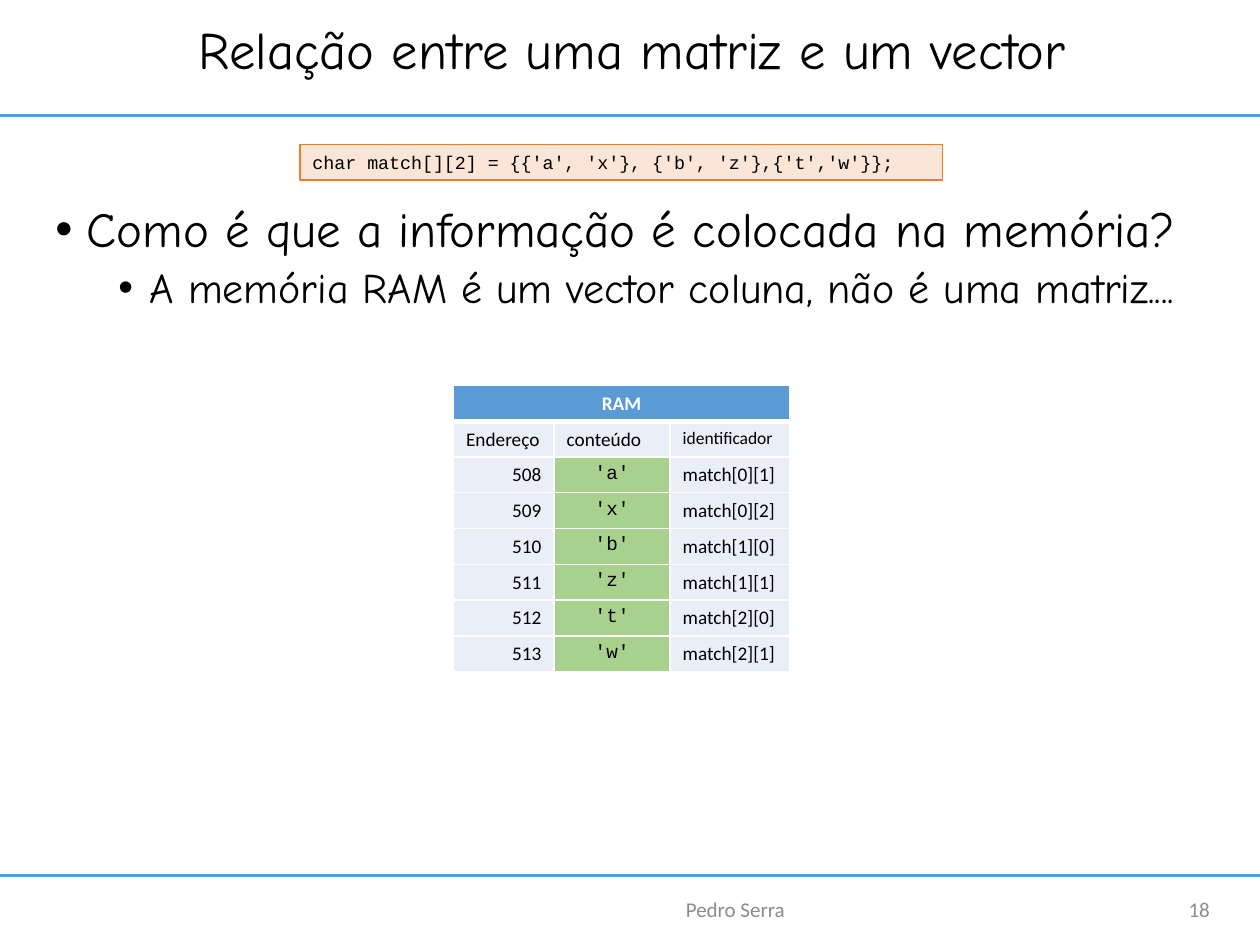
import lxml.etree
import pptx
import pptx.dml.color
import pptx.enum.shapes
import pptx.enum.text
import pptx.oxml
import pptx.oxml.ns
import pptx.util

Cm = pptx.util.Cm
Pt = pptx.util.Pt
RGBColor = pptx.dml.color.RGBColor
ALIGN = pptx.enum.text.PP_ALIGN
MIDDLE = pptx.enum.text.MSO_ANCHOR.MIDDLE
qn = pptx.oxml.ns.qn

BLACK = RGBColor(0x00, 0x00, 0x00)
WHITE = RGBColor(0xFF, 0xFF, 0xFF)
GREY = RGBColor(0x8C, 0x8C, 0x8C)
BLUE = RGBColor(0x5B, 0x9B, 0xD5)
PALE_BLUE = RGBColor(0xEA, 0xEF, 0xF7)
GREEN = RGBColor(0xA9, 0xD1, 0x8E)
ORANGE = RGBColor(0xED, 0x7D, 0x31)
PALE_ORANGE = RGBColor(0xFB, 0xE5, 0xD6)


def write(para, text, size, font, color, align=ALIGN.LEFT, bold=False):
    para.text = text
    para.alignment = align
    for span in para.runs:
        span.font.size = Pt(size)
        span.font.name = font
        span.font.color.rgb = color
        span.font.bold = bold


def place(shape, left, top, width, height):
    """Position a shape, in centimetres."""
    shape.left, shape.top = Cm(left), Cm(top)
    shape.width, shape.height = Cm(width), Cm(height)


deck = pptx.Presentation()
deck.slide_width, deck.slide_height = Cm(25.4), Cm(19.05)
page = deck.slides.add_slide(deck.slide_layouts[1])

# Rules above and below the content
for y in (2.33, 17.65):
    rule = page.shapes.add_connector(
        pptx.enum.shapes.MSO_CONNECTOR.STRAIGHT, 0, Cm(y), deck.slide_width, Cm(y))
    rule.line.color.rgb = BLUE
    rule.line.width = Pt(1.25)
    lxml.etree.SubElement(rule._element.spPr, qn("a:effectLst"))

# Title
title = page.shapes.title
place(title, 0.86, 0, 23.77, 2.13)
title.text_frame.auto_size = pptx.enum.text.MSO_AUTO_SIZE.NONE
title.text_frame.vertical_anchor = MIDDLE
heading = title.text_frame.paragraphs[0]
write(heading, "Relação entre uma matriz e um vector", 30, "Comic Neue", BLACK, ALIGN.CENTER)
heading.line_spacing = 0.9

# Bulleted list
body = page.placeholders[1]
place(body, 0.86, 4.01, 24.28, 3.4)
body.text_frame.auto_size = pptx.enum.text.MSO_AUTO_SIZE.NONE
bullets = [
    ("Como é que a informação é colocada na memória?", 28, 0.25, 0),
    ("A memória RAM é um vector coluna, não é uma matriz....", 24, 0.75, 5),
]
body.text_frame.text = "\n".join(bullet[0] for bullet in bullets)
for level, (text, size, indent, space) in enumerate(bullets):
    para = body.text_frame.paragraphs[level]
    para.level = level
    properties = para._p.get_or_add_pPr()
    properties.set("marL", str(pptx.util.Inches(indent)))
    properties.set("indent", str(pptx.util.Inches(-0.25)))
    lxml.etree.SubElement(properties, qn("a:buFont"), typeface="Arial")
    lxml.etree.SubElement(properties, qn("a:buChar"), char="•")
    para.line_spacing = 0.9
    para.space_before = Pt(space)
    write(para, text, size, "Comic Neue", BLACK)

# Footer and page number
for text, left, width, align in (
        ("18", 22.4, 2.24, ALIGN.RIGHT), ("Pedro Serra", 7.47, 14.71, ALIGN.CENTER)):
    box = page.shapes.add_textbox(Cm(left), Cm(17.98), Cm(width), Cm(0.69))
    box.text_frame.word_wrap = True
    box.text_frame.vertical_anchor = MIDDLE
    write(box.text_frame.paragraphs[0], text, 12, "Calibri", GREY, align)

# Memory table
contents = ["'a'", "'x'", "'b'", "'z'", "'t'", "'w'"]
names = ["match[0][1]", "match[0][2]", "match[1][0]",
         "match[1][1]", "match[2][0]", "match[2][1]"]
rows = [("RAM", "", ""), ("Endereço", "conteúdo", "identificador")]
rows += [(str(508 + i), *pair) for i, pair in enumerate(zip(contents, names))]
widths = [2.03, 2.34, 2.41]
memory = page.shapes.add_table(
    len(rows), len(widths), Cm(9.14), Cm(7.77), Cm(sum(widths)), Cm(0.72 * len(rows))).table
for column, width in zip(memory.columns, widths):
    column.width = Cm(width)
memory.cell(0, 0).merge(memory.cell(0, 2))

for r, row in enumerate(rows):
    for c, text in enumerate(row):
        cell = memory.cell(r, c)
        size, font, color, fill, align = 11, "Calibri", BLACK, PALE_BLUE, ALIGN.LEFT
        if r == 0:
            color, fill, align = WHITE, BLUE, ALIGN.CENTER
        elif r == 1 and c == 2:
            size = 10
        elif r > 1 and c == 0:
            align = ALIGN.RIGHT
        elif r > 1 and c == 1:
            font, fill, align = "Courier New", GREEN, ALIGN.CENTER
        if not cell.is_spanned:
            write(cell.text_frame.paragraphs[0], text, size, font, color, align, r == 0)
        properties = cell._tc.get_or_add_tcPr()
        for side in ("L", "R", "T", "B"):
            thick = (r == 0 and side == "B") or (r == 1 and side == "T")
            edge = lxml.etree.SubElement(
                properties, qn(f"a:ln{side}"), w=str(Pt(3 if thick else 1)))
            paint = lxml.etree.SubElement(edge, qn("a:solidFill"))
            lxml.etree.SubElement(paint, qn("a:srgbClr"), val=str(WHITE))
        cell.fill.solid()
        cell.fill.fore_color.rgb = fill

# Declaration in C
code = page.shapes.add_shape(
    pptx.enum.shapes.MSO_SHAPE.RECTANGLE, Cm(6.05), Cm(2.92), Cm(12.95), Cm(0.71))
code.shadow.inherit = False
code.fill.solid()
code.fill.fore_color.rgb = PALE_ORANGE
code.line.color.rgb = ORANGE
code.line.width = Pt(0.75)
code.text_frame.word_wrap = True
code.text_frame.vertical_anchor = MIDDLE
write(code.text_frame.paragraphs[0],
      "char match[][2] = {{'a', 'x'}, {'b', 'z'},{'t','w'}};", 10.5, "Courier New", BLACK)

deck.save("out.pptx")
